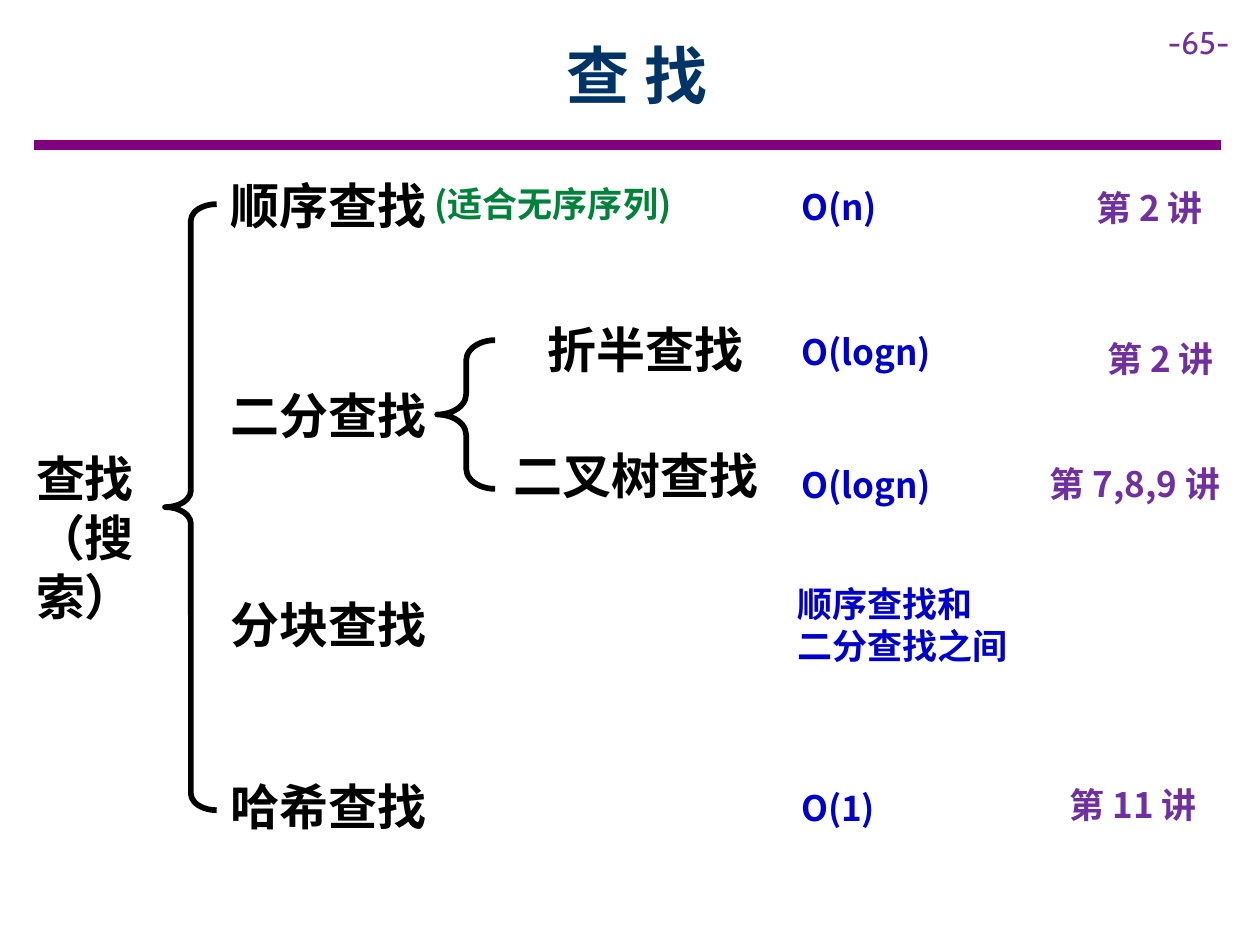
from dataclasses import dataclass

from lxml import etree
from pptx import Presentation
from pptx import util as u
from pptx.dml.color import RGBColor
from pptx.enum import shapes, text
from pptx.oxml import ns


@dataclass(frozen=True)
class Theme:
    font: str = "Noto Sans CJK SC"
    number_font: str = "Cabin"
    paper: str = "FFFFFF"
    ink: str = "000000"
    title: str = "003366"
    rule: str = "800080"
    cost: str = "0000CC"
    note: str = "00823B"
    lecture: str = "7030A0"
    title_size: int = 36
    method_size: int = 28
    detail_size: int = 20
    number_size: int = 18
    rule_width: float = 6
    brace_width: float = 3.25


THEME = Theme()
METHOD_LEFT, COST_LEFT = 1.73, 6.26
METHOD_HEIGHT, DETAIL_HEIGHT = 0.57, 0.44

# text, left, top, width
METHODS = [
    ("顺序查找", METHOD_LEFT, 1.34, 1.98),
    ("二分查找", METHOD_LEFT, 3.01, 2.09),
    ("折半查找", 4.25, 2.49, 1.87),
    ("二叉树查找", 3.98, 3.49, 2.16),
    ("分块查找", METHOD_LEFT, 4.67, 2.09),
    ("哈希查找", METHOD_LEFT, 6.11, 2.52),
]
COSTS = [
    ("O(n)", COST_LEFT, 1.42, 1.43),
    ("O(logn)", COST_LEFT, 2.57, 1.43),
    ("O(logn)", COST_LEFT, 3.63, 1.43),
    ("顺序查找和\n二分查找之间", 6.23, 4.57, 1.89),
    ("O(1)", COST_LEFT, 6.19, 1.43),
]
NOTES = [("(适合无序序列)", 3.35, 1.4, 2.58)]
LECTURES = [
    ("第 2 讲", 8.6, 1.43, 1.42),
    ("第 2 讲", 8.69, 2.63, 1.1),
    ("第 7,8,9 讲", 8.23, 3.62, 1.65),
    ("第 11 讲", 8.39, 6.17, 1.41),
]


def add_text(page, content, left, top, width, height, *, size, color,
             font=THEME.font, bold=True, align=text.PP_ALIGN.LEFT,
             anchor=text.MSO_ANCHOR.TOP):
    """Add a wrapping text box with one paragraph for each line of content."""
    box = page.shapes.add_textbox(*map(u.Inches, (left, top, width, height)))
    frame = box.text_frame
    frame.word_wrap = True
    frame.vertical_anchor = anchor
    for index, line in enumerate(content.split("\n")):
        para = frame.add_paragraph() if index else frame.paragraphs[0]
        para.alignment = align
        span = para.add_run()
        span.text = line
        span.font.name = font
        span.font.size = u.Pt(size)
        span.font.bold = bold
        span.font.color.rgb = RGBColor.from_string(color)
        east_asian = etree.SubElement(span.font._element, ns.qn("a:ea"))
        east_asian.set("typeface", font)


def add_brace(page, left, top, width, height, curl):
    brace = page.shapes.add_shape(
        shapes.MSO_SHAPE.LEFT_BRACE,
        *map(u.Inches, (left, top, width, height)))
    brace.shadow.inherit = False
    brace.adjustments[0] = curl
    brace.adjustments[1] = 0.5
    brace.fill.solid()
    brace.fill.fore_color.rgb = RGBColor.from_string(THEME.paper)
    brace.line.color.rgb = RGBColor.from_string(THEME.ink)
    brace.line.width = u.Pt(THEME.brace_width)


def add_rule(page, left, right, top):
    rule = page.shapes.add_connector(
        shapes.MSO_CONNECTOR.STRAIGHT,
        *map(u.Inches, (left, top, right, top)))
    rule.line.color.rgb = RGBColor.from_string(THEME.rule)
    rule.line.width = u.Pt(THEME.rule_width)
    etree.SubElement(rule._element.spPr, ns.qn("a:effectLst"))


def add_labels(page, labels, height, **style):
    for content, left, top, width in labels:
        add_text(page, content, left, top, width, height, **style)


def main():
    deck = Presentation()
    deck.slide_width, deck.slide_height = u.Inches(10), u.Inches(7.5)
    page = deck.slides.add_slide(deck.slide_layouts[6])

    add_rule(page, 0.27, 9.69, 1.15)
    add_text(page, "-65-", 9.17, 0.13, 0.83, 0.4, size=THEME.number_size,
             color=THEME.lecture, font=THEME.number_font, bold=False)
    add_text(page, "查 找", 0.9, 0.09, 8.31, 1, size=THEME.title_size,
             color=THEME.title, align=text.PP_ALIGN.CENTER,
             anchor=text.MSO_ANCHOR.MIDDLE)
    add_text(page, "查找\n（搜索）", -0.19, 3.51, 1.73, 1.04,
             size=THEME.method_size, color=THEME.ink,
             align=text.PP_ALIGN.CENTER)

    add_brace(page, 1.31, 1.62, 0.41, 4.81, curl=0.32)
    add_brace(page, 3.47, 2.7, 0.46, 1.18, curl=0.35)

    add_labels(page, METHODS, METHOD_HEIGHT,
               size=THEME.method_size, color=THEME.ink)
    for labels, color in ((COSTS, THEME.cost), (NOTES, THEME.note),
                          (LECTURES, THEME.lecture)):
        add_labels(page, labels, DETAIL_HEIGHT,
                   size=THEME.detail_size, color=color)

    deck.save("out.pptx")


if __name__ == "__main__":
    main()
